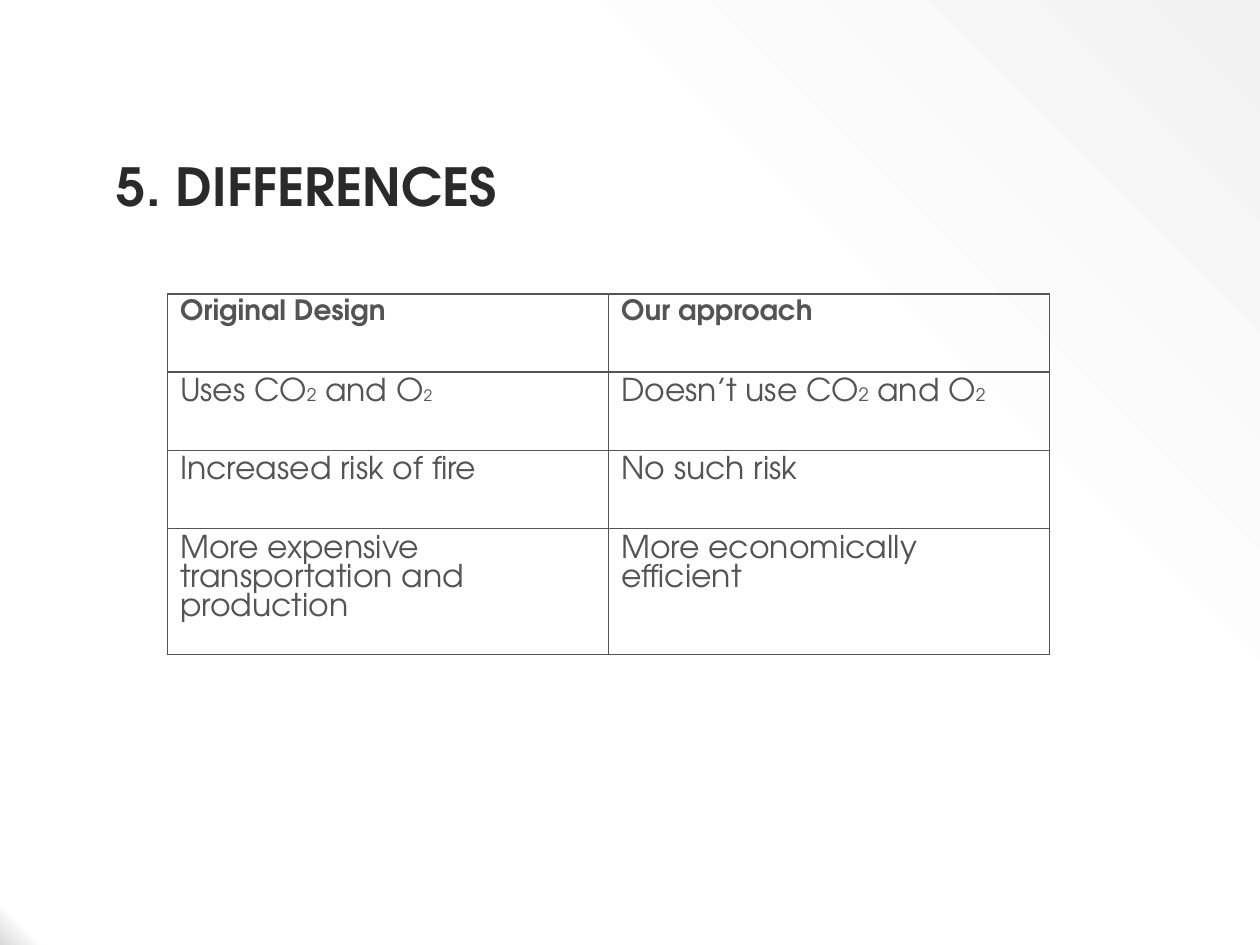
import lxml.etree
import pptx
import pptx.dml.color
import pptx.enum.text
import pptx.oxml
import pptx.oxml.ns
import pptx.util

WIDTH, HEIGHT = pptx.util.Inches(10), pptx.util.Inches(7.5)
FONT = "TeX Gyre Adventor"
COLORS = {"title": "2A2A2A", "body": "545454", "corner": "F2F2F2",
          "middle": "FFFFFF", "far": "D9D9D9"}
BACKGROUND_STOPS = [(0, "corner"), (35, "middle"), (98, "middle"), (100, "far")]

# Boxes are left, top, width, height as shares of the slide
TITLE_BOX = (0.083, 0.044, 0.8, 0.193)
TABLE_BOX = (0.133, 0.311, 0.7, 0.331)

# Each cell is a list of (text, size) runs
HEADER = [[("Original Design", 16)], [("Our approach", 16)]]
ROWS = [
    HEADER,
    [[("Uses CO", 18), ("2", 10), (" and O", 18), ("2", 9)],
     [("Doesn’t use CO", 18), ("2", 10.5), (" and O", 18), ("2", 10)]],
    [[("Increased risk of fire", 18)], [("No such risk", 18)]],
    [[("More expensive transportation and production", 18)],
     [("More economically efficient", 18)]],
]


def place(box):
    """Turn shares of the slide into lengths."""
    return [round(share * side) for share, side in zip(box, (WIDTH, HEIGHT) * 2)]


def add_run(p, text, size, color, bold=False):
    r = p.add_run()
    r.text = text
    formats = {"name": FONT, "size": pptx.util.Pt(size), "bold": bold}
    for name, value in formats.items():
        setattr(r.font, name, value)
    r.font.color.rgb = pptx.dml.color.RGBColor.from_string(COLORS[color])


def set_background(s):
    """Spread a radial gradient from the top right corner."""
    stops = "".join(
        f'<a:gs pos="{pos * 1000}"><a:srgbClr val="{COLORS[color]}"/></a:gs>'
        for pos, color in BACKGROUND_STOPS)
    gradient = pptx.oxml.parse_xml(
        f'<a:gradFill {pptx.oxml.ns.nsdecls("a")} rotWithShape="1">'
        f'<a:gsLst>{stops}</a:gsLst><a:path path="circle">'
        '<a:fillToRect l="100000" t="0" r="0" b="100000"/></a:path></a:gradFill>')
    s.background.fill.solid()
    solid = next(s.element.iter(pptx.oxml.ns.qn("a:solidFill")))
    solid.getparent().replace(solid, gradient)


def add_title(s, box, text):
    tf = s.shapes.add_textbox(*place(box)).text_frame
    tf.word_wrap = True
    tf.vertical_anchor = pptx.enum.text.MSO_ANCHOR.BOTTOM
    p = tf.paragraphs[0]
    p.line_spacing = 0.9
    add_run(p, text, 30, "title", bold=True)


def set_borders(cell, color, width):
    tc_pr = cell._tc.get_or_add_tcPr()
    for i, side in enumerate(("lnL", "lnR", "lnT", "lnB")):
        tc_pr.insert(i, pptx.oxml.parse_xml(
            f'<a:{side} {pptx.oxml.ns.nsdecls("a")} w="{pptx.util.Pt(width)}">'
            f'<a:solidFill><a:srgbClr val="{COLORS[color]}"/></a:solidFill>'
            f'</a:{side}>'))


def add_comparison(s, box, rows):
    left, top, width, height = place(box)
    table = s.shapes.add_table(len(rows), len(rows[0]), left, top, width, height).table
    for name in ("first_row", "horz_banding"):
        setattr(table, name, False)
    for row, contents in zip(table.rows, rows):
        row.height = height // len(rows)
        for cell, runs in zip(row.cells, contents):
            cell.fill.background()
            set_borders(cell, "body", 1)
            for text, size in runs:
                add_run(cell.text_frame.paragraphs[0], text, size, "body",
                        bold=contents is HEADER)


def main():
    prs = pptx.Presentation()
    prs.slide_width, prs.slide_height = WIDTH, HEIGHT
    s = prs.slides.add_slide(prs.slide_layouts[6])
    set_background(s)
    add_title(s, TITLE_BOX, "5. DIFFERENCES")
    add_comparison(s, TABLE_BOX, ROWS)
    prs.save("out.pptx")


if __name__ == "__main__":
    main()
